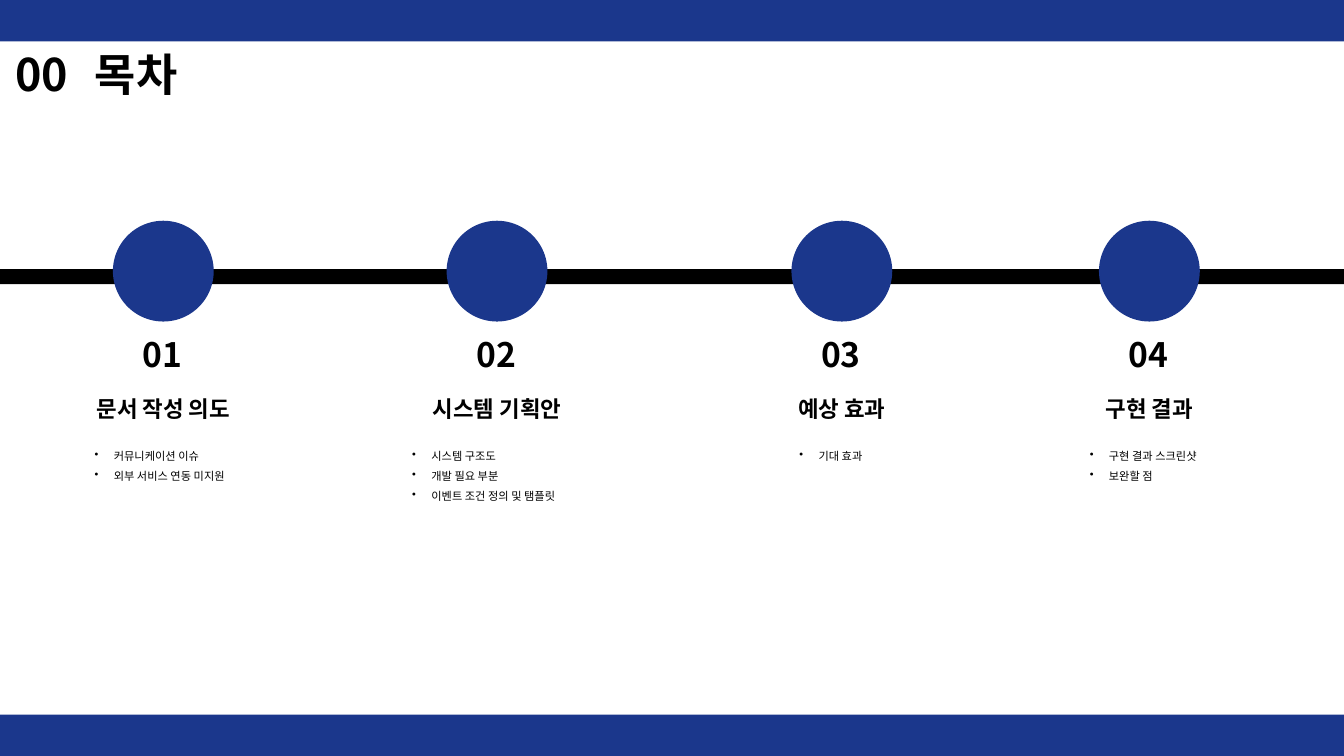
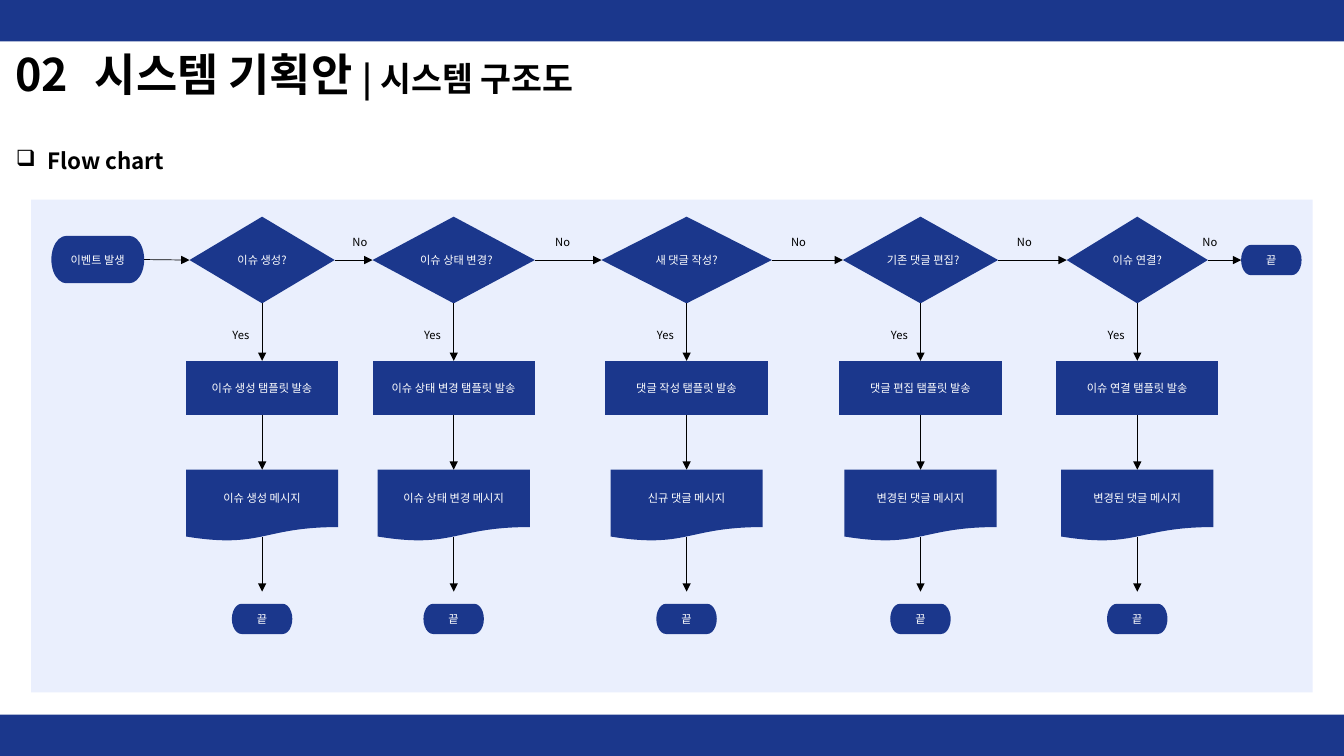
from lxml import etree
from pptx import Presentation
from pptx.dml.color import RGBColor
from pptx.enum.shapes import MSO_CONNECTOR, MSO_SHAPE
from pptx.enum.text import MSO_ANCHOR, MSO_AUTO_SIZE, PP_ALIGN
from pptx.oxml.ns import qn
from pptx.util import Inches, Pt

RECTANGLE, CIRCLE = MSO_SHAPE.RECTANGLE, MSO_SHAPE.OVAL
TERMINATOR, DECISION = MSO_SHAPE.FLOWCHART_TERMINATOR, MSO_SHAPE.FLOWCHART_DECISION
PROCESS, DOCUMENT = MSO_SHAPE.FLOWCHART_PROCESS, MSO_SHAPE.FLOWCHART_DOCUMENT
LEFT, CENTER = PP_ALIGN.LEFT, PP_ALIGN.CENTER
TOP, MIDDLE = MSO_ANCHOR.TOP, MSO_ANCHOR.MIDDLE
SIDE_TOP, SIDE_LEFT, SIDE_BOTTOM, SIDE_RIGHT = range(4)

FONT = "Noto Sans CJK KR"
NAVY, PANEL, BLACK, WHITE = "1B378C", "3565F2", "000000", "FFFFFF"
WIDTH, HEIGHT, BAND = 13.33, 7.5, 0.41


def add_box(slide, preset, left, top, width, height, fill=NAVY):
    """Add a filled preset shape, or a text box when preset is None."""
    box = [Inches(length) for length in (left, top, width, height)]
    if preset is None:
        return slide.shapes.add_textbox(*box)
    shape = slide.shapes.add_shape(preset, *box)
    shape.shadow.inherit = False
    shape.fill.solid()
    shape.fill.fore_color.rgb = RGBColor.from_string(fill)
    shape.line.fill.background()
    return shape


def write(shape, lines, size, color=BLACK, bold=False, align=CENTER, anchor=MIDDLE,
          spacing=1.0, bullet=None, indent=0, wrap=True, inset=0.1):
    """Write one paragraph a line; a line is a string or a list of (text, size)."""
    frame = shape.text_frame
    frame_format = {"word_wrap": wrap, "auto_size": MSO_AUTO_SIZE.NONE,
                    "vertical_anchor": anchor, "margin_left": Inches(inset),
                    "margin_right": Inches(inset)}
    for name, value in frame_format.items():
        setattr(frame, name, value)
    for index, line in enumerate(lines):
        paragraph = frame.add_paragraph() if index else frame.paragraphs[0]
        paragraph.alignment, paragraph.line_spacing = align, spacing
        if bullet:
            properties = paragraph._p.get_or_add_pPr()
            properties.set("marL", str(Inches(indent)))
            properties.set("indent", str(-Inches(indent)))
            etree.SubElement(properties, qn("a:buChar")).set("char", bullet)
        for text, run_size in [(line, size)] if isinstance(line, str) else line:
            run = paragraph.add_run()
            run.text = text
            run.font.color.rgb = RGBColor.from_string(color)
            for name, value in {"name": FONT, "size": Pt(run_size), "bold": bold}.items():
                setattr(run.font, name, value)
            etree.SubElement(run.font._element, qn("a:ea")).set("typeface", FONT)


presentation = Presentation()
presentation.slide_width, presentation.slide_height = Inches(WIDTH), Inches(HEIGHT)

# Shared frame: title, section number and the two bands
slides = []
for number, title_runs in [
    ("00", [("목차", 32)]),
    ("02", [("시스템 기획안 ", 32), ("| 시스템 구조도", 24)]),
]:
    slide = presentation.slides.add_slide(presentation.slide_layouts[5])
    title = slide.shapes.title
    title_box = {"left": 0.84, "top": 0.39, "width": 7.22, "height": 0.74}
    for name, value in title_box.items():
        setattr(title, name, Inches(value))
    write(title, [title_runs], 32, bold=True, align=LEFT, spacing=0.9)
    number_box = add_box(slide, None, -0.01, 0.39, 0.85, 0.74)
    write(number_box, [number], 32, bold=True, spacing=0.9)
    for band_top in (0, HEIGHT - BAND):
        add_box(slide, RECTANGLE, 0, band_top, WIDTH, BAND)
    slides.append(slide)
contents, flow = slides

# Contents: a timeline with four chapters (centre, list left, list width)
add_box(contents, RECTANGLE, 0, 2.67, WIDTH, 0.15, BLACK)
chapters = [
    (1.62, 0.84, 1.74, "문서 작성 의도", ["커뮤니케이션 이슈", "외부 서비스 연동 미지원"]),
    (4.93, 3.99, 1.9, "시스템 기획안",
     ["시스템 구조도", "개발 필요 부분", "이벤트 조건 정의 및 탬플릿"]),
    (8.35, 7.83, 1.05, "예상 효과", ["기대 효과"]),
    (11.4, 10.71, 1.39, "구현 결과", ["구현 결과 스크린샷", "보완할 점"]),
]
for index, (center, list_left, list_width, heading, topics) in enumerate(chapters, 1):
    add_box(contents, CIRCLE, center - 0.5, 2.19, 1, 1)
    chapter_number = add_box(contents, None, center - 0.37, 3.29, 0.72, 0.5)
    write(chapter_number, [f"{index:02}"], 24, bold=True, spacing=0.9)
    heading_box = add_box(contents, None, center - 0.87, 3.87, 1.74, 0.37)
    write(heading_box, [heading], 16, bold=True)
    topic_box = add_box(contents, None, list_left, 4.34, list_width, 0.08 + 0.2 * len(topics))
    write(topic_box, topics, 8, align=LEFT, anchor=TOP, spacing=1.5, bullet="•", indent=0.19)

# Flow chart: heading and pale panel
flow_heading = add_box(flow, None, 0.06, 1.41, 8.66, 0.37)
write(flow_heading, ["Flow chart"], 16, bold=True, align=LEFT, bullet="❑", indent=0.31)
panel = add_box(flow, RECTANGLE, 0.31, 1.98, 12.71, 4.89, PANEL)
panel_color = panel.fill._xPr.find(qn("a:solidFill"))[0]
etree.SubElement(panel_color, qn("a:alpha")).set("val", "10000")

# Flow chart: five branches (axis, decision width, process width, left of "No")
DECISION_Y = 2.58
node_format = {"size": 8, "color": WHITE, "inset": 0.05}
label_format = {"size": 8, "anchor": TOP, "spacing": 1.5, "wrap": False}
branches = [
    (2.6, 1.44, 1.51, 3.36, "이슈 생성?", "이슈 생성 탬플릿 발송", "이슈 생성 메시지"),
    (4.5, 1.61, 1.61, 5.37, "이슈 상태 변경?", "이슈 상태 변경 탬플릿 발송", "이슈 상태 변경 메시지"),
    (6.81, 1.69, 1.61, 7.71, "새 댓글 작성?", "댓글 작성 탬플릿 발송", "신규 댓글 메시지"),
    (9.13, 1.54, 1.61, 9.95, "기존 댓글 편집?", "댓글 편집 탬플릿 발송", "변경된 댓글 메시지"),
    (11.28, 1.4, 1.61, 11.79, "이슈 연결?", "이슈 연결 탬플릿 발송", "변경된 댓글 메시지"),
]
start = add_box(flow, TERMINATOR, 0.51, DECISION_Y - 0.24, 0.92, 0.47)
write(start, ["이벤트 발생"], **node_format)
main_row, joins = [start], []
for axis, decision_width, process_width, no_left, question, action, message in branches:
    column = []
    for preset, top, width, height, text in [
        (DECISION, DECISION_Y - 0.43, decision_width, 0.86, question),
        (PROCESS, 3.58, process_width, 0.54, action),
        (DOCUMENT, 4.66, 1.51, 0.71, message),
        (TERMINATOR, 5.99, 0.6, 0.3, "끝"),
    ]:
        node = add_box(flow, preset, axis - width / 2, top, width, height)
        write(node, [text], **node_format)
        column.append(node)
    for text, left, top, width in [("Yes", axis - 0.4, 3.14, 0.38), ("No", no_left, 2.22, 0.42)]:
        write(add_box(flow, None, left, top, width, 0.28), [text], **label_format)
    main_row.append(column[0])
    joins += [(column[0], SIDE_BOTTOM, column[1], SIDE_TOP),
              (column[1], SIDE_BOTTOM, column[2], SIDE_TOP)]
end = add_box(flow, TERMINATOR, 12.31, DECISION_Y - 0.15, 0.6, 0.3)
write(end, ["끝"], **node_format)
main_row.append(end)
joins += [(source, SIDE_RIGHT, target, SIDE_LEFT)
          for source, target in zip(main_row, main_row[1:])]

# Arrows: joined ones first, then the free ones under the wavy documents
arrows = []
for source, source_side, target, target_side in joins:
    arrow = flow.shapes.add_connector(MSO_CONNECTOR.STRAIGHT, 0, 0, 0, 0)
    arrow.begin_connect(source, source_side)
    arrow.end_connect(target, target_side)
    arrows.append(arrow)
for axis, *_ in branches:
    ends = [Inches(length) for length in (axis, 5.33, axis, 5.87)]
    arrows.append(flow.shapes.add_connector(MSO_CONNECTOR.STRAIGHT, *ends))
for arrow in arrows:
    arrow.line.color.rgb = RGBColor.from_string(BLACK)
    arrow.line.width = Pt(0.5)
    etree.SubElement(arrow.line._get_or_add_ln(), qn("a:tailEnd")).set("type", "triangle")
    etree.SubElement(arrow._element.spPr, qn("a:effectLst"))

presentation.save("out.pptx")
